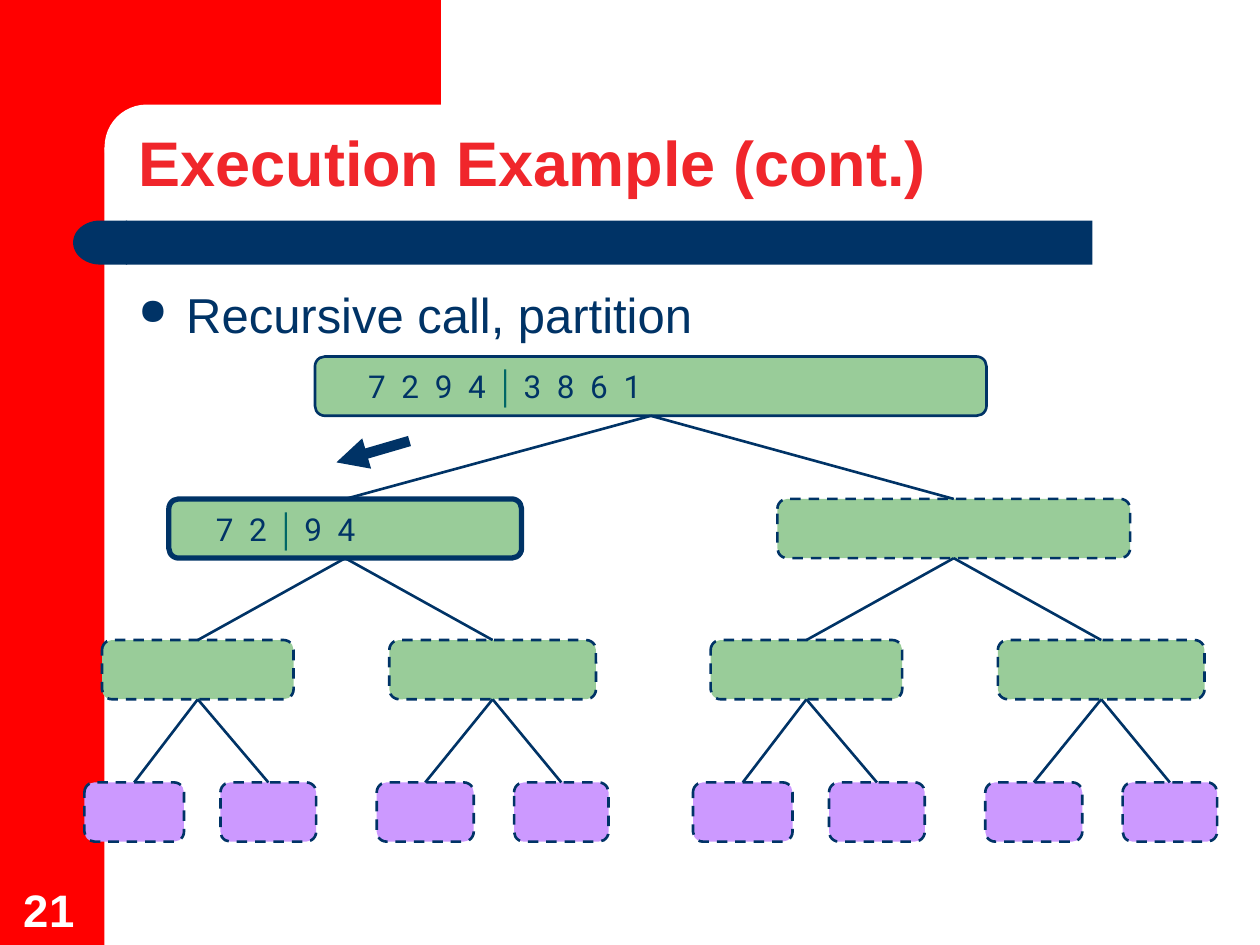
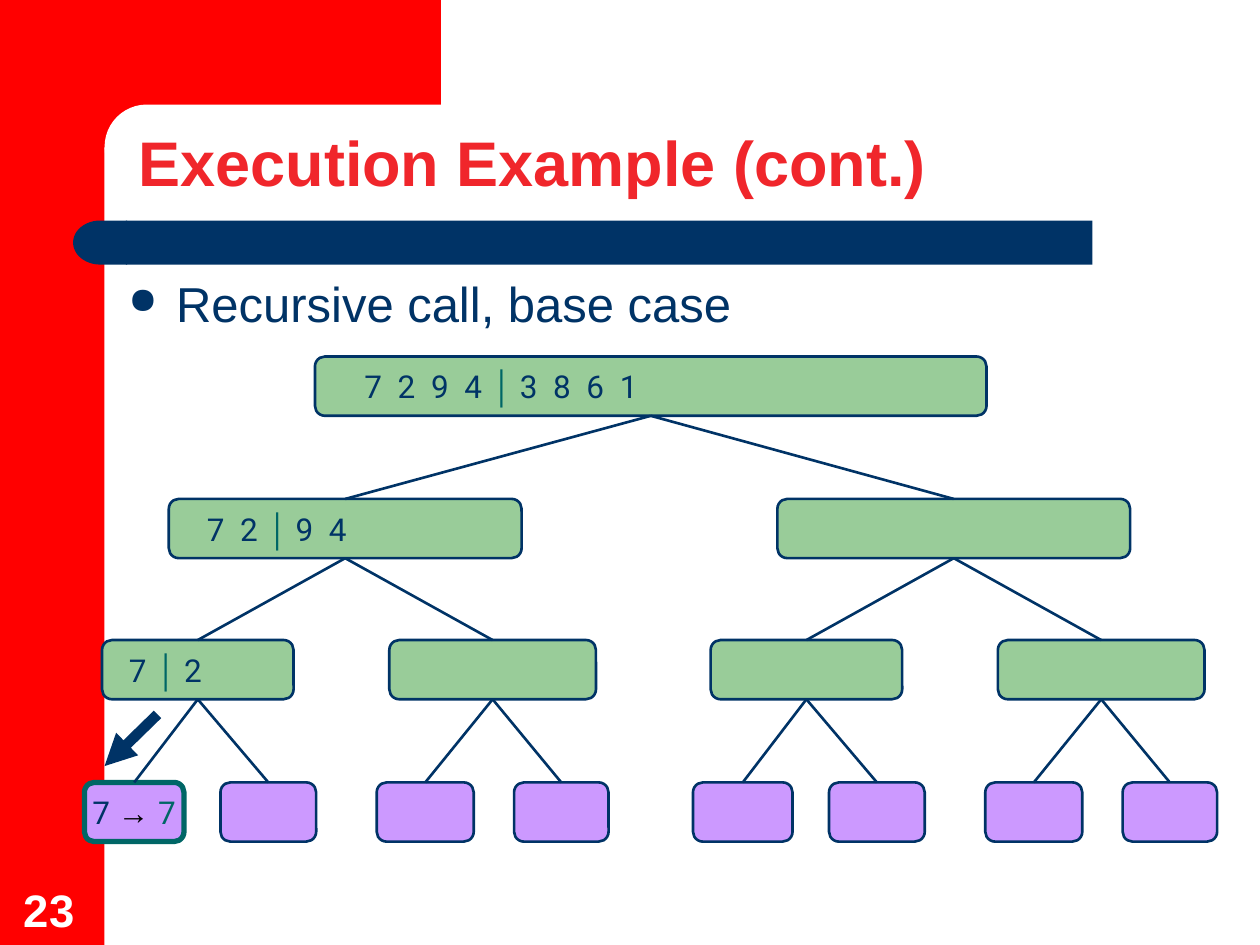
from dataclasses import dataclass

from lxml import etree
from pptx import Presentation
from pptx import util as u
from pptx.dml import color
from pptx.enum import dml, shapes, text
from pptx.oxml import ns

PX = 9144
KIND = shapes.MSO_SHAPE


@dataclass(frozen=True)
class Theme:
    """Colours, fonts and type sizes of the deck."""
    red: str = "FF0000"
    head: str = "F0262B"
    navy: str = "003366"
    teal: str = "006666"
    green: str = "99CC99"
    lilac: str = "CC99FF"
    white: str = "FFFFFF"
    black: str = "000000"
    sans: str = "Arial"
    digit: str = "Roboto"
    big: int = 36
    body: int = 28
    page: int = 26
    node: int = 18
    thin: float = 1.5
    thick: int = 3
    arrow: int = 6


T = Theme()
INK = dict(name=T.digit, tint=T.navy)
WIDE = dict(INK, gap=223)
BAR = dict(name=T.sans, tint=T.teal, bold=True, gap=-100)

BANDS = [
    (KIND.RECTANGLE, (0, 0, 83, 750), T.red, {}),
    (KIND.RECTANGLE, (75, 0, 275, 117), T.red, {}),
    (KIND.ROUNDED_RECTANGLE, (83, 83, 558, 67), T.white, {"adj": 0.5}),
    (KIND.RECTANGLE, (100, 175, 767, 35), T.navy, {}),
    (KIND.FLOWCHART_DELAY, (58, 175, 43, 35), T.navy, {"turn": 180}),
]

HALF = 483
ROWS = [
    [(183, 533)],
    [(67, 280)],
    [(14, 152), (242, 164)],
    [(0, 79), (108, 76), (232, 77), (341, 75)],
]


def emu(box):
    """Turn px lengths into EMU."""
    return [u.Emu(n * PX) for n in box]


def put(item, **values):
    """Set each given attribute on an item."""
    for key, value in values.items():
        setattr(item, key, value)


def rgb(code):
    """Make a colour from its hex code."""
    return color.RGBColor.from_string(code)


def write(para, words, size, name=T.sans, tint=T.navy, bold=False, gap=0):
    """Add one formatted run to a paragraph."""
    run = para.add_run()
    run.text = words
    put(run.font, name=name, size=u.Pt(size), bold=bold)
    run.font.color.rgb = rgb(tint)
    if gap:
        run.font._element.set("spc", str(gap))


def form(slide, kind, box, fill, adj=None, turn=0):
    """Add a flat filled shape without an outline."""
    shape = slide.shapes.add_shape(kind, *emu(box))
    shape.shadow.inherit = False
    shape.fill.solid()
    shape.fill.fore_color.rgb = rgb(fill)
    shape.line.fill.background()
    shape.rotation = turn
    if adj is not None:
        shape.adjustments[0] = adj
    return shape


def edge(line, tint, width, dash=False):
    """Format an outline or a connector line."""
    line.color.rgb = rgb(tint)
    line.width = u.Pt(width)
    if dash:
        line.dash_style = dml.MSO_LINE.DASH


def link(slide, ends=(0, 0, 0, 0), width=T.thin):
    """Add a straight navy connector without a shadow."""
    line = slide.shapes.add_connector(shapes.MSO_CONNECTOR.STRAIGHT, *emu(ends))
    edge(line.line, T.navy, width)
    etree.SubElement(line.element.spPr, ns.qn("a:effectLst"))
    return line


def frame(slide):
    """Build the shared bands and move them onto the layout."""
    layout = slide.slide_layout
    tree = layout.shapes.element
    for part in list(layout.placeholders):
        if part.placeholder_format.idx:
            tree.remove(part.element)
    for kind, box, fill, more in BANDS:
        tree.append(form(slide, kind, box, fill, **more).element)


def title(slide, words, box):
    """Move, format and fill the title placeholder."""
    shape = slide.shapes.title
    put(shape, **dict(zip(("left", "top", "width", "height"), emu(box))))
    put(shape.text_frame, word_wrap=True, auto_size=text.MSO_AUTO_SIZE.NONE,
        vertical_anchor=text.MSO_ANCHOR.BOTTOM)
    para = shape.text_frame.paragraphs[0]
    put(para, alignment=text.PP_ALIGN.LEFT, line_spacing=0.9)
    write(para, words, T.big, tint=T.head, bold=True)


def number(slide, page, box):
    """Write the page number in the red band."""
    frame = slide.shapes.add_textbox(*emu(box)).text_frame
    put(frame, word_wrap=True, vertical_anchor=text.MSO_ANCHOR.BOTTOM)
    write(frame.paragraphs[0], page, T.page, tint=T.white, bold=True)


def bullet(slide, words, box):
    """Write the bulleted step line."""
    frame = slide.shapes.add_textbox(*emu(box)).text_frame
    put(frame, word_wrap=True, margin_top=u.Emu(9 * PX))
    para = frame.paragraphs[0]
    props = para._p.get_or_add_pPr()
    props.set("marL", str(38 * PX))
    props.set("indent", str(-38 * PX))
    tint = etree.SubElement(props, ns.qn("a:buClr"))
    etree.SubElement(tint, ns.qn("a:srgbClr"), val=T.navy)
    etree.SubElement(props, ns.qn("a:buSzPct"), val="75000")
    etree.SubElement(props, ns.qn("a:buChar"), char="●")
    write(para, words, T.body)


def label(shape, runs, indent):
    """Fill a node with runs, centred when no indent is given."""
    frame = shape.text_frame
    put(frame, word_wrap=True, vertical_anchor=text.MSO_ANCHOR.MIDDLE,
        margin_left=u.Emu((indent or 0) * PX), margin_right=0,
        margin_top=0, margin_bottom=0)
    para = frame.paragraphs[0]
    centre = indent is None
    para.alignment = text.PP_ALIGN.CENTER if centre else text.PP_ALIGN.LEFT
    for words, style in runs:
        write(para, words, T.node, **style)


def split(left, right):
    """Give the runs of a list cut in two by a bar."""
    return [(left, WIDE), (" │ ", BAR), (right, WIDE)]


def tree(slide, x, y, labels, solid, focus, glow):
    """Draw the call tree with its top left corner at x, y."""
    nodes = []
    for depth, row in enumerate(ROWS):
        spots = row + [(left + HALF, wide) for left, wide in row] if depth else row
        top = y + (225 * depth + 1) // 2
        fill = T.lilac if depth == 3 else T.green
        for left, wide in spots:
            spot = len(nodes)
            node = form(slide, KIND.ROUNDED_RECTANGLE, (x + left, top, wide, 47),
                        fill, adj=0.167)
            if spot == focus:
                edge(node.line, glow, T.thick)
            else:
                edge(node.line, T.navy, T.thin, dash=spot not in solid)
            if spot in labels:
                label(node, *labels[spot])
            nodes.append(node)
    for spot, node in enumerate(nodes[1:], 1):
        line = link(slide)
        line.begin_connect(nodes[(spot - 1) // 2], 2)
        line.end_connect(node, 0)


def arrow(slide, ends):
    """Draw the thick arrow that marks the current call."""
    line = link(slide, ends, T.arrow)
    etree.SubElement(line.line._get_or_add_ln(), ns.qn("a:tailEnd"), type="triangle")


STEPS = [
    dict(page="21", step="Recursive call, partition", at=(100, 217),
         labels={0: (split("7 2 9 4", "3 8 6 1"), 40),
                 1: (split("7 2", "9 4"), 35)},
         solid={0, 1}, focus=1, glow=T.navy, ends=(325, 350, 267, 367)),
    dict(page="23", step="Recursive call, base case", at=(92, 208),
         labels={0: (split("7 2 9 4", "3 8 6 1"), 37),
                 1: (split("7 2", "9 4"), 28),
                 3: (split("7", "2"), 19),
                 7: ([("7 ", INK),
                      ("→ ", dict(name=T.sans, tint=T.black, bold=True)),
                      ("7", dict(name=T.digit, tint=T.teal))], None)},
         solid=set(range(15)), focus=7, glow=T.teal, ends=(125, 567, 83, 608)),
]


def main():
    """Build both slides and save the deck."""
    deck = Presentation()
    put(deck, slide_width=u.Inches(10), slide_height=u.Inches(7.5))
    for turn, step in enumerate(STEPS):
        slide = deck.slides.add_slide(deck.slide_layouts[5])
        if turn == 0:
            frame(slide)
        title(slide, "Execution Example (cont.)", (100, 100, 875, 64))
        number(slide, step["page"], (9, 694, 64, 54))
        bullet(slide, step["step"], (*step["at"], 850, 57))
        tree(slide, 67, 283, step["labels"], step["solid"], step["focus"], step["glow"])
        arrow(slide, step["ends"])
    deck.save("out.pptx")


if __name__ == "__main__":
    main()
